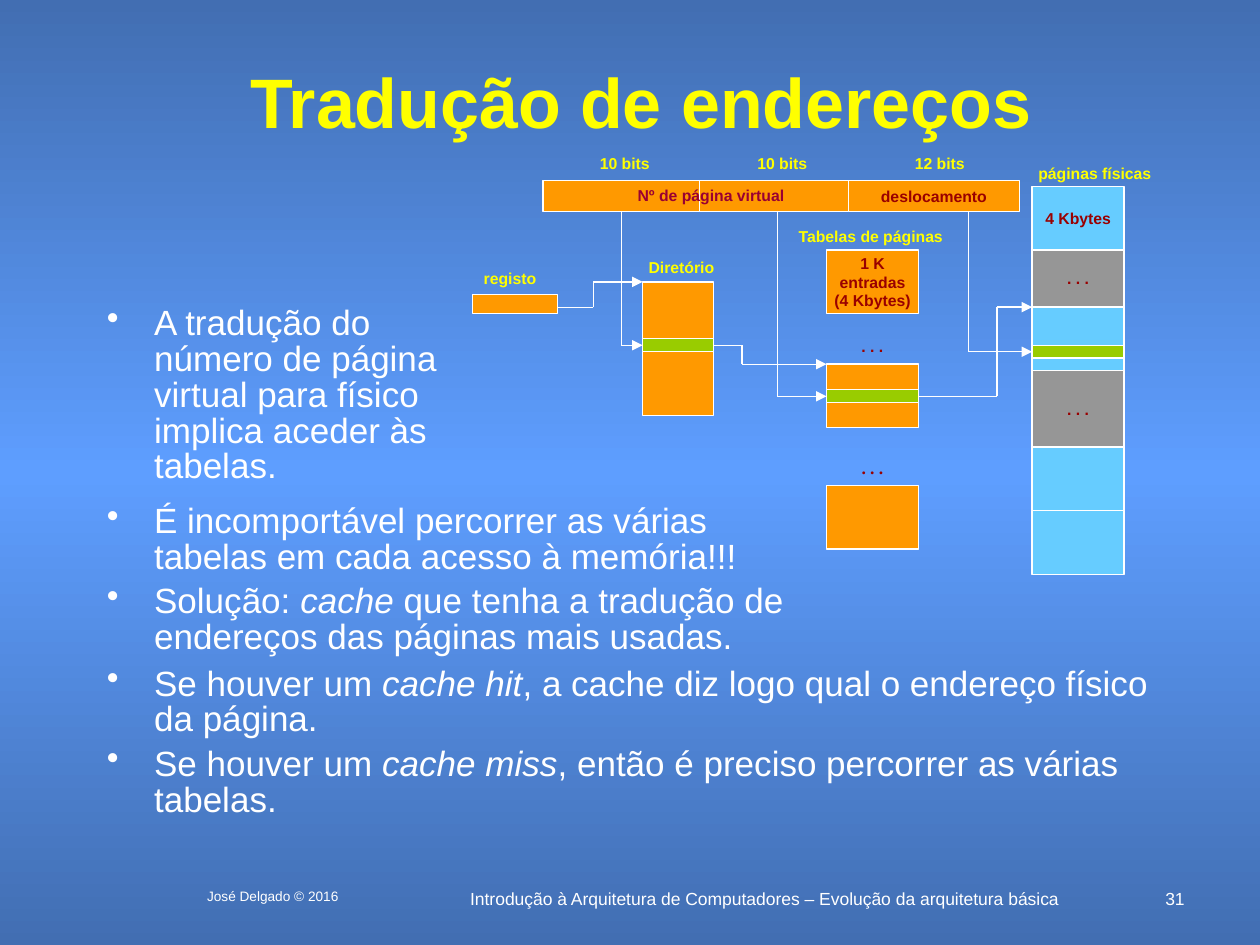
import copy
import pptx
import pptx.util
import pptx.dml.color
import pptx.enum.shapes
import pptx.enum.text
import pptx.oxml.ns
import pptx.oxml.xmlchemy

Pt = pptx.util.Pt
qn = pptx.oxml.ns.qn
new_element = pptx.oxml.xmlchemy.OxmlElement
ALIGN = pptx.enum.text.PP_ALIGN
ANCHOR = pptx.enum.text.MSO_ANCHOR
WHITE, YELLOW, DARK_RED = "FFFFFF", "FFFF00", "990000"
ORANGE, GREEN, BLUE, GREY = "FF9900", "99CC00", "66CCFF", "969696"
BACKGROUND = [(0, "426EB2"), (0.5, "5E9EFF"), (1, "426EB2")]

# Content: lengths in points
TITLE = "Tradução de endereços"
FOOTERS = [  # text, left, width, size, alignment
    ("Introdução à Arquitetura de Computadores – Evolução da arquitetura básica",
     239.8, 393.8, 10, ALIGN.CENTER),
    ("31", 653.8, 30.2, 10, ALIGN.RIGHT),
    ("José Delgado © 2016", 95.8, 120.2, 7.8, ALIGN.CENTER),
]
BULLETS = [  # top, width, height, paragraphs of (text, italic)
    (172.1, 203.8, 156.2, [
        [("A tradução do número de página virtual para físico implica aceder às tabelas.", False)]]),
    (285.1, 419.8, 108, [
        [("É incomportável percorrer as várias tabelas em cada acesso à memória!!!", False)],
        [("Solução: ", False), ("cache", True),
         (" que tenha a tradução de endereços das páginas mais usadas.", False)]]),
    (378, 635.8, 108, [
        [("Se houver um ", False), ("cache hit", True),
         (", a cache diz logo qual o endereço físico da página.", False)],
        [("Se houver um ", False), ("cache miss", True),
         (", então é preciso percorrer as várias tabelas.", False)]]),
]
ADDRESS_LEFT, ADDRESS_TOP, ADDRESS_HEIGHT = 310.4, 103, 18
ADDRESS_FIELDS = [(89.3, []), (85, []), (97.9, ["deslocamento"])]  # width, text
PAGES_LEFT, PAGES_TOP, CELL_WIDTH = 589.8, 106.6, 52.6
PAGES = [  # height, colour, text
    (36.2, BLUE, ["4 Kbytes"]), (32.6, GREY, [". . ."]), (36.5, BLUE, []),
    (43.5, GREY, [". . ."]), (36.5, BLUE, []), (36.5, BLUE, []),
]
TABLES_LEFT, TABLE_HEIGHT = 472.3, 36.4
TABLES = [(142.8, ["1 K", "entradas", "(4 Kbytes)"]), (208.1, []), (277.4, [])]
DIRECTORY_LEFT, DIRECTORY_TOP, DIRECTORY_WIDTH, DIRECTORY_HEIGHT = 367.2, 161.1, 40.5, 76.4
REGISTER = (270, 168.3, 48.8, 10.9)
ENTRY_HEIGHT = 7.2
ENTRIES = [  # selected entries: left, top, width
    (DIRECTORY_LEFT, 193.6, DIRECTORY_WIDTH),
    (TABLES_LEFT, 222.7, CELL_WIDTH),
    (PAGES_LEFT, 197.5, CELL_WIDTH),
]
LABELS = [  # text, centre, top, colour, font
    ("10 bits", 357, 84.2, YELLOW, "Arial"), ("10 bits", 447, 84.2, YELLOW, "Arial"),
    ("12 bits", 537, 84.2, YELLOW, "Arial"),
    ("Nº de página virtual", 406.2, 102.8, "990033", "Arial"),
    ("páginas físicas", 625.6, 90, YELLOW, "Arial"),
    ("Tabelas de páginas", 497.6, 126, YELLOW, "Arial"),
    ("Diretório", 389.4, 144, YELLOW, "Arial"), ("registo", 291.4, 149.8, YELLOW, "Arial"),
    (". . .", 498.5, 188.6, DARK_RED, "Arial"),
    (". . .", 498.5, 257.8, DARK_RED, "Times New Roman"),
]
ADDRESS_BOTTOM = ADDRESS_TOP + ADDRESS_HEIGHT
PATHS = [  # corners of each arrow
    [(318.8, 175.6), (339.1, 175.6), (339.1, 161.1), (DIRECTORY_LEFT, 161.1)],
    [(355, ADDRESS_BOTTOM), (355, 197.3), (DIRECTORY_LEFT, 197.3)],
    [(DIRECTORY_LEFT + DIRECTORY_WIDTH, 197.3), (424, 197.3), (424, 208.1), (TABLES_LEFT, 208.1)],
    [(444.2, ADDRESS_BOTTOM), (444.2, 226.5), (TABLES_LEFT, 226.5)],
    [(TABLES_LEFT + CELL_WIDTH, 226.5), (569.7, 226.5), (569.7, 175.5), (PAGES_LEFT, 175.5)],
    [(553.5, ADDRESS_BOTTOM), (553.5, 201), (PAGES_LEFT, 201)],
]

deck = pptx.Presentation()
deck.slide_width, deck.slide_height = Pt(720), Pt(540)
slide = deck.slides.add_slide(deck.slide_layouts[6])


def rgb(colour):
    return pptx.dml.color.RGBColor.from_string(colour)


def add_run(paragraph, text, size, colour, bold=False, italic=False, font="Arial"):
    run = paragraph.add_run()
    run.text = text
    run.font.name, run.font.size = font, Pt(size)
    run.font.bold, run.font.italic = bold, italic
    run.font.color.rgb = rgb(colour)


def add_text(left, top, width, height, wrap=True):
    box = slide.shapes.add_textbox(Pt(left), Pt(top), Pt(width), Pt(height))
    box.text_frame.word_wrap = wrap
    return box.text_frame


def add_cell(left, top, width, height, colour, lines=()):
    cell = slide.shapes.add_shape(pptx.enum.shapes.MSO_SHAPE.RECTANGLE,
                                  Pt(left), Pt(top), Pt(width), Pt(height))
    cell.shadow.inherit = False
    cell.fill.solid()
    cell.fill.fore_color.rgb = rgb(colour)
    cell.line.color.rgb, cell.line.width = rgb(WHITE), Pt(0.75)
    frame = cell.text_frame
    frame.word_wrap, frame.vertical_anchor = False, ANCHOR.MIDDLE
    for i, line in enumerate(lines):
        paragraph = frame.add_paragraph() if i else frame.paragraphs[0]
        paragraph.alignment = ALIGN.CENTER
        add_run(paragraph, line, 9, DARK_RED, bold=True)


def add_path(corners):
    for start, end in zip(corners, corners[1:]):
        segment = slide.shapes.add_connector(pptx.enum.shapes.MSO_CONNECTOR.STRAIGHT,
                                             *map(Pt, start + end))
        segment.line.color.rgb, segment.line.width = rgb(WHITE), Pt(0.75)
        properties = segment._element.spPr
        if end == corners[-1]:
            head = new_element("a:tailEnd")
            head.set("type", "triangle")
            properties.find(qn("a:ln")).append(head)
        properties.append(new_element("a:effectLst"))


def add_bullet(paragraph):
    properties = paragraph._p.get_or_add_pPr()
    properties.set("marL", str(Pt(27)))
    properties.set("indent", str(-Pt(27)))
    bullet = new_element("a:buChar")
    bullet.set("char", "•")
    properties.append(bullet)
    paragraph.line_spacing = 0.85


# Background
background = slide.background.fill
background.gradient()
background.gradient_angle = 90
stop_list = slide.element.find(".//" + qn("a:gsLst"))
stop_list.insert(1, copy.deepcopy(stop_list[0]))
for stop, (position, colour) in zip(background.gradient_stops, BACKGROUND):
    stop.position, stop.color.rgb = position, rgb(colour)

# Title and footers
title = add_text(54, 30.2, 624.2, 54)
title.vertical_anchor = ANCHOR.MIDDLE
title.paragraphs[0].alignment = ALIGN.CENTER
add_run(title.paragraphs[0], TITLE, 40, YELLOW, bold=True)
for text, left, width, size, alignment in FOOTERS:
    footer = add_text(left, 504, width, 18).paragraphs[0]
    footer.alignment = alignment
    add_run(footer, text, size, WHITE)

# Bulleted text
for top, width, height, paragraphs in BULLETS:
    frame = add_text(54, top, width, height)
    for i, runs in enumerate(paragraphs):
        paragraph = frame.add_paragraph() if i else frame.paragraphs[0]
        add_bullet(paragraph)
        if i:
            paragraph.space_before = Pt(5)
        for text, italic in runs:
            add_run(paragraph, text, 20, WHITE, italic=italic)

# Virtual address, register, directory, page tables and physical pages
left = ADDRESS_LEFT
for width, lines in ADDRESS_FIELDS:
    add_cell(left, ADDRESS_TOP, width, ADDRESS_HEIGHT, ORANGE, lines)
    left += width
add_cell(*REGISTER, ORANGE)
add_cell(DIRECTORY_LEFT, DIRECTORY_TOP, DIRECTORY_WIDTH, DIRECTORY_HEIGHT, ORANGE)
for top, lines in TABLES:
    add_cell(TABLES_LEFT, top, CELL_WIDTH, TABLE_HEIGHT, ORANGE, lines)
top = PAGES_TOP
for height, colour, lines in PAGES:
    add_cell(PAGES_LEFT, top, CELL_WIDTH, height, colour, lines)
    top += height
for left, top, width in ENTRIES:
    add_cell(left, top, width, ENTRY_HEIGHT, GREEN)

# Arrows and labels
for corners in PATHS:
    add_path(corners)
for text, centre, top, colour, font in LABELS:
    size = 9 if font == "Arial" else 10
    width = 14.4 + 4.8 * len(text)
    label = add_text(centre - width / 2, top, width, 18, wrap=False).paragraphs[0]
    label.alignment = ALIGN.CENTER
    add_run(label, text, size, colour, bold=True, font=font)

deck.save("out.pptx")
